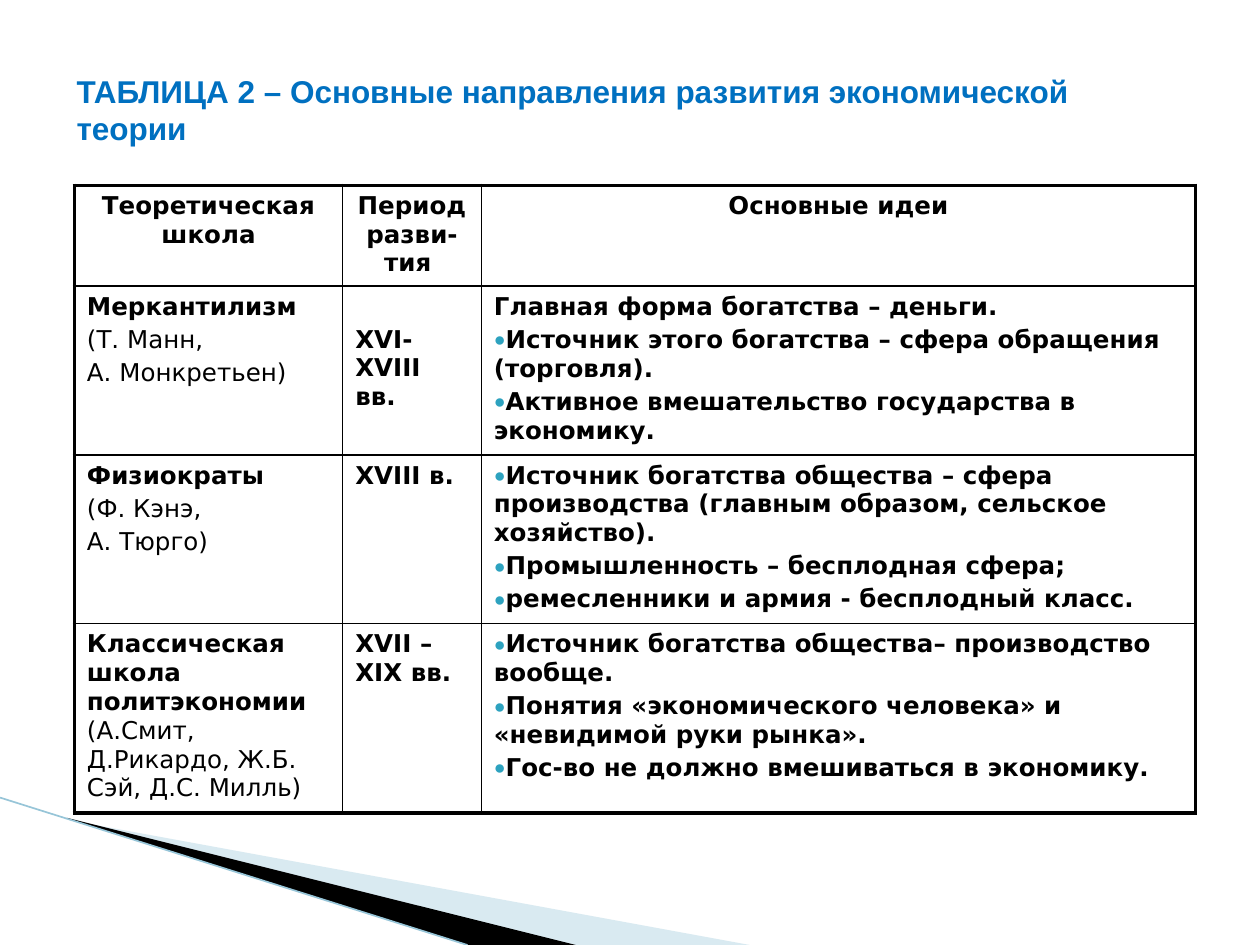
from dataclasses import dataclass

from lxml import etree
from pptx import Presentation
from pptx.dml.color import RGBColor
from pptx.enum.shapes import MSO_CONNECTOR
from pptx.enum.text import PP_ALIGN
from pptx.oxml.ns import qn
from pptx.util import Inches, Pt

CENTER, LEFT = PP_ALIGN.CENTER, PP_ALIGN.LEFT
STRAIGHT = MSO_CONNECTOR.STRAIGHT


@dataclass(frozen=True)
class Theme:
    title_font: str = "Arial"
    body_font: str = "DejaVu Sans"
    title_size: float = 18
    body_size: float = 14
    space: float = 2.5
    thick: float = 2.25
    thin: float = 1
    hairline: float = 0.95
    title: str = "0070C0"
    ink: str = "000000"
    bullet: str = "2DA2BF"
    pale: str = "A0CBDC"
    edge: str = "97C5D8"


@dataclass(frozen=True)
class Para:
    bold: str = ""
    plain: str = ""
    bullet: bool = False
    align: int = LEFT


def rgb(color):
    return RGBColor.from_string(color)


class SlideBuilder:
    def __init__(self, slide, theme):
        self.s = slide
        self.t = theme

    def wedge(self, points, color, opacity=None):
        pts = [(Inches(x), Inches(y)) for x, y in points]
        builder = self.s.shapes.build_freeform(*pts[0], scale=1.0)
        builder.add_line_segments(pts[1:], close=True)
        sp = builder.convert_to_shape()
        sp.shadow.inherit = False
        sp.line.fill.background()
        sp.fill.solid()
        sp.fill.fore_color.rgb = rgb(color)
        if opacity is not None:
            clr = sp.fill._xPr.find(".//" + qn("a:srgbClr"))
            etree.SubElement(clr, qn("a:alpha"), val=str(opacity * 1000))

    def line(self, x1, y1, x2, y2):
        ends = [Inches(v) for v in (x1, y1, x2, y2)]
        c = self.s.shapes.add_connector(STRAIGHT, *ends)
        c.line.color.rgb = rgb(self.t.edge)
        c.line.width = Pt(self.t.hairline)
        etree.SubElement(c._element.spPr, qn("a:effectLst"))

    def style(self, r, font, size, color, bold):
        r.font.name = font
        r.font.size = Pt(size)
        r.font.color.rgb = rgb(color)
        r.font.bold = bold

    def title(self, text, x, y, w, h):
        sp = self.s.shapes.add_textbox(*[Inches(v) for v in (x, y, w, h)])
        tf = sp.text_frame
        tf.word_wrap = True
        tf.text = text
        t = self.t
        self.style(tf.paragraphs[0].runs[0], t.title_font, t.title_size, t.title, True)

    def bullet(self, p):
        pPr = p._p.get_or_add_pPr()
        pPr.set("marL", "0")
        pPr.set("indent", "0")
        clr = etree.SubElement(pPr, qn("a:buClr"))
        etree.SubElement(clr, qn("a:srgbClr"), val=self.t.bullet)
        etree.SubElement(pPr, qn("a:buSzPct"), val="80000")
        etree.SubElement(pPr, qn("a:buFont"), typeface=self.t.title_font)
        etree.SubElement(pPr, qn("a:buChar"), char="●")

    def borders(self, cell, widths):
        tcPr = cell._tc.get_or_add_tcPr()
        for i, (side, width) in enumerate(zip("LRTB", widths)):
            ln = etree.Element(qn("a:ln" + side), w=str(Pt(width)))
            fill = etree.SubElement(ln, qn("a:solidFill"))
            etree.SubElement(fill, qn("a:srgbClr"), val=self.t.ink)
            tcPr.insert(i, ln)

    def fill_cell(self, cell, paras):
        t, tf = self.t, cell.text_frame
        for i, para in enumerate(paras):
            p = tf.add_paragraph() if i else tf.paragraphs[0]
            p.alignment = para.align
            p.space_before = Pt(t.space)
            if para.bullet:
                self.bullet(p)
            for text, bold in ((para.bold, True), (para.plain, False)):
                if text:
                    r = p.add_run()
                    r.text = text
                    self.style(r, t.body_font, t.body_size, t.ink, bold)

    def table(self, rows, x, y, widths, heights):
        t, nr, nc = self.t, len(heights), len(widths)
        frame = self.s.shapes.add_table(
            nr, nc, Inches(x), Inches(y), Inches(sum(widths)), Inches(sum(heights)))
        tbl = frame.table
        tbl.first_row = tbl.horz_banding = False
        for col, w in zip(tbl.columns, widths):
            col.width = Inches(w)
        for row, h in zip(tbl.rows, heights):
            row.height = Inches(h)
        for i, row in enumerate(rows):
            for j, paras in enumerate(row):
                cell = tbl.cell(i, j)
                cell.fill.background()
                outer = (j == 0, j == nc - 1, i == 0, i == nr - 1)
                self.borders(cell, [t.thick if o else t.thin for o in outer])
                self.fill_cell(cell, paras)
        return tbl


def header(text):
    return [Para(text, align=CENTER)]


def ideas(*texts):
    return [Para(text, bullet=True) for text in texts]


ROWS = [
    [header("Теоретическая школа"), header("Период разви-тия "), header("Основные идеи")],
    [
        [Para("Меркантилизм"), Para(plain="(Т. Манн,"), Para(plain="А. Монкретьен)")],
        [Para("XVI-XVIII вв.")],
        [Para("Главная форма богатства – деньги.")] + ideas(
            "Источник этого богатства – сфера обращения (торговля).",
            "Активное вмешательство государства в экономику."),
    ],
    [
        [Para("Физиократы"), Para(plain="(Ф. Кэнэ,"), Para(plain="А. Тюрго)")],
        [Para("XVIII в.")],
        ideas(
            "Источник богатства общества – сфера производства "
            "(главным образом, сельское хозяйство).",
            "Промышленность – бесплодная сфера;",
            "ремесленники и армия - бесплодный класс."),
    ],
    [
        [Para("Классическая школа политэкономии ",
              "(А.Смит, Д.Рикардо, Ж.Б. Сэй, Д.С. Милль)")],
        [Para("ХVII – ХIХ вв.")],
        ideas(
            "Источник богатства общества– производство вообще.",
            "Понятия «экономического человека» и «невидимой руки рынка».",
            "Гос-во не должно вмешиваться в экономику."),
    ],
]


def main():
    prs = Presentation()
    prs.slide_width, prs.slide_height = Inches(10), Inches(7.5)
    theme = Theme()
    b = SlideBuilder(prs.slides.add_slide(prs.slide_layouts[6]), theme)
    b.wedge([(0.55, 6.51), (5.95, 7.5), (4.56, 7.5), (0.55, 6.5)], theme.pale, 40)
    b.wedge([(0.53, 6.49), (4.57, 7.5), (3.72, 7.5), (0.54, 6.5)], theme.ink)
    b.line(0, 6.33, 3.71, 7.5)
    b.title("ТАБЛИЦА 2 – Основные направления развития экономической теории",
            0.51, 0.52, 8.9, 1.6)
    tbl = b.table(ROWS, 0.59, 1.47, [2.13, 1.1, 5.67], [0.8, 1.34, 1.34, 1.5])
    tbl.cell(1, 1).margin_top = Inches(0.31)
    prs.save("out.pptx")


if __name__ == "__main__":
    main()
